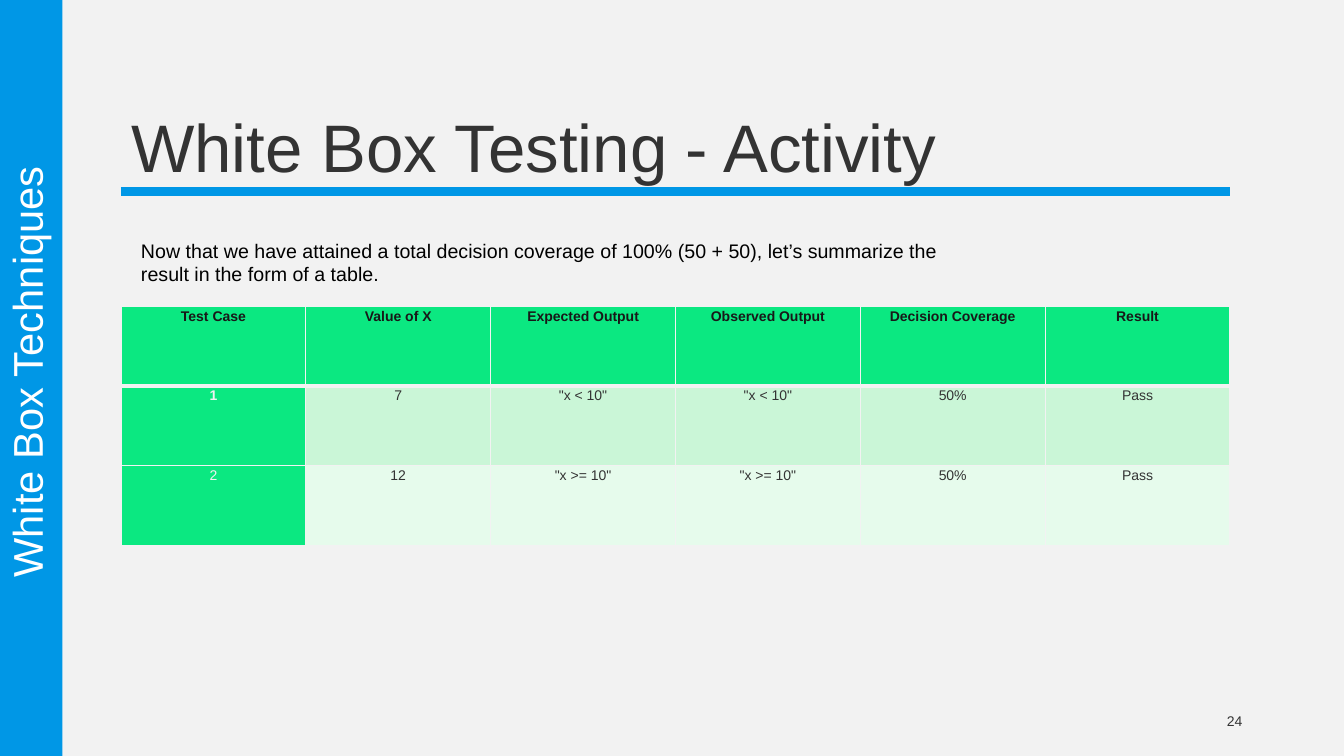
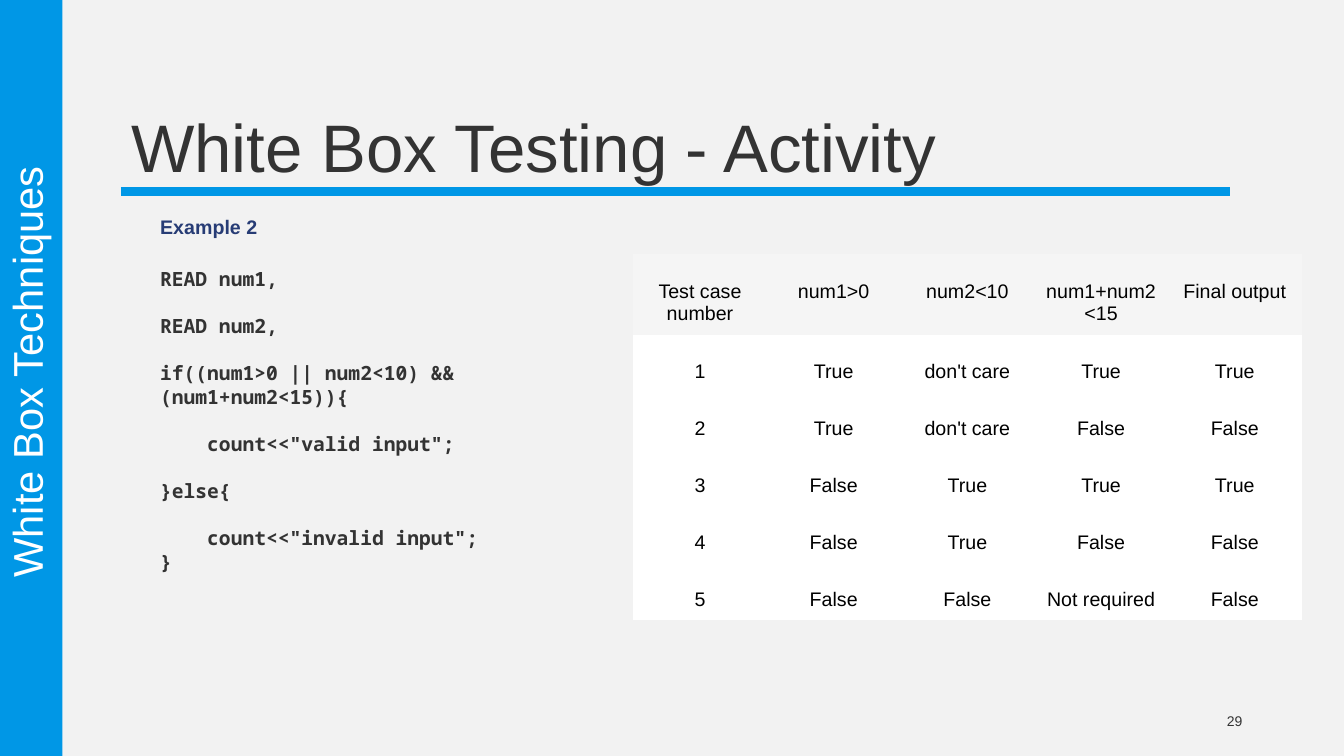
from lxml import etree
from pptx import Presentation
from pptx.dml.color import RGBColor
from pptx.enum import shapes, text
from pptx.oxml import ns
from pptx.util import Inches, Pt

BLUE, NAVY, INK, BLACK, WHITE = "0097E6", "273C75", "333333", "000000", "FFFFFF"
PAPER, GREEN, MINT, PALE_MINT = "F2F2F2", "0BE881", "CAF6D7", "E6FBEC"
HEADER_INK, HEADER_GRAY = "181818", "F5F5F5"
SANS, MONO = "Arial", "Noto Sans Mono"
NO_GRID_STYLE = "{2D5ABB26-0587-4C30-8999-92F81FD0307C}"
LEFT, ANCHOR = text.PP_ALIGN.LEFT, text.MSO_ANCHOR

SUMMARY = (
    "Now that we have attained a total decision coverage of 100% (50 + 50), "
    "let’s summarize the result in the form of a table."
)
COVERAGE_ROWS = [
    ["Test Case", "Value of X", "Expected Output", "Observed Output", "Decision Coverage", "Result"],
    ["1", "7", '"x < 10"', '"x < 10"', "50%", "Pass"],
    ["2", "12", '"x >= 10"', '"x >= 10"', "50%", "Pass"],
]
CONDITION_ROWS = [
    ["Test case number", "num1>0", "num2<10", "num1+num2<15", "Final output"],
    ["1", "True", "don't care", "True", "True"],
    ["2", "True", "don't care", "False", "False"],
    ["3", "False", "True", "True", "True"],
    ["4", "False", "True", "False", "False"],
    ["5", "False", "False", "Not required", "False"],
]
CODE_LINES = [
    "READ num1,",
    "READ num2,",
    "if((num1>0 || num2<10) && (num1+num2<15)){",
    '    count<<"valid input";',
    "}else{",
    '    count<<"invalid input";',
    "}",
]


def color(value):
    return RGBColor.from_string(value)


def inches(box):
    return [Inches(length) for length in box]


def style(paragraph, size, ink, bold=False, font=SANS, align=LEFT, spacing=None):
    paragraph.alignment = align
    paragraph.line_spacing = spacing
    for run in paragraph.runs:
        run.font.name = font
        run.font.size = Pt(size)
        run.font.bold = bold
        run.font.color.rgb = color(ink)


def add_text(slide, box, lines, size, ink, anchor=ANCHOR.TOP, gaps=None, **look):
    shape = slide.shapes.add_textbox(*inches(box))
    frame = shape.text_frame
    frame.word_wrap = True
    frame.vertical_anchor = anchor
    frame.text = "\n".join(lines)
    for index, paragraph in enumerate(frame.paragraphs):
        style(paragraph, size, ink, **look)
        if gaps:
            paragraph.space_before = Pt(gaps[index])
    return shape


def add_side_band(slide, box, label):
    left, top, width, height = box
    band = slide.shapes.add_shape(shapes.MSO_SHAPE.RECTANGLE, *inches(box))
    band.shadow.inherit = False
    band.fill.solid()
    band.fill.fore_color.rgb = color(BLUE)
    band.line.fill.background()
    length, depth = 6.74, 0.5
    label_box = (left + (width - length) / 2, top + height / 2 - 0.31, length, depth)
    caption = add_text(slide, label_box, [label], 29.7, WHITE, ANCHOR.BOTTOM,
                       align=text.PP_ALIGN.CENTER, spacing=0.85)
    caption.rotation = 270


def add_heading(slide, box, heading):
    left, top, width, height = box
    title = slide.shapes.title
    title.left, title.top, title.width, title.height = inches(box)
    frame = title.text_frame
    frame.text = heading
    frame.word_wrap = True
    frame.auto_size = text.MSO_AUTO_SIZE.NONE
    frame.vertical_anchor = ANCHOR.BOTTOM
    style(frame.paragraphs[0], 48, INK, spacing=0.85)
    bottom = top + height
    rule = slide.shapes.add_connector(
        shapes.MSO_CONNECTOR.STRAIGHT, *inches((left, bottom, left + width, bottom)))
    rule.line.color.rgb = color(BLUE)
    rule.line.width = Pt(6)
    etree.SubElement(rule._element.spPr, ns.qn("a:effectLst"))


def add_activity_slide(presentation, number):
    slide = presentation.slides.add_slide(presentation.slide_layouts[5])
    add_side_band(slide, (0, 0, 0.62, 7.5), "White Box Techniques")
    add_heading(slide, (1.2, 0.31, 11, 1.59), "White Box Testing - Activity")
    add_text(slide, (9.42, 6.95, 3, 0.4), [str(number)], 10, INK, ANCHOR.MIDDLE,
             align=text.PP_ALIGN.RIGHT)
    return slide


def add_grid(slide, box, rows, heights):
    table = slide.shapes.add_table(len(rows), len(rows[0]), *inches(box)).table
    table.first_row = table.horz_banding = False
    table._tbl.tblPr.find(ns.qn("a:tableStyleId")).text = NO_GRID_STYLE
    for column in table.columns:
        column.width = Inches(box[2] / len(rows[0]))
    for row, height in zip(table.rows, heights):
        row.height = Inches(height)
    return table


def fill_cell(cell, words, fill, size, ink, margins, **look):
    cell.margin_left, cell.margin_top, cell.margin_right, cell.margin_bottom = inches(margins)
    cell.text_frame.text = words
    style(cell.text_frame.paragraphs[0], size, ink, align=text.PP_ALIGN.CENTER, **look)
    cell.fill.solid()
    cell.fill.fore_color.rgb = color(fill)


def add_borders(cell, widths):
    properties = cell._tc.get_or_add_tcPr()
    for side, width in zip("LRTB", widths):
        line = etree.SubElement(properties, ns.qn(f"a:ln{side}"), w=str(Pt(width)))
        solid = etree.SubElement(line, ns.qn("a:solidFill"))
        etree.SubElement(solid, ns.qn("a:srgbClr"), val=PAPER)


def add_coverage_table(slide, box):
    table = add_grid(slide, box, COVERAGE_ROWS, [box[3] / 3] * 3)
    for r, row in enumerate(COVERAGE_ROWS):
        for c, words in enumerate(row):
            cell = table.cell(r, c)
            add_borders(cell, (1, 1, 3 if r == 1 else 1, 3 if r == 0 else 1))
            fill = GREEN if r == 0 or c == 0 else (MINT, PALE_MINT)[r - 1]
            ink = HEADER_INK if r == 0 else PAPER if c == 0 else INK
            bold = r == 0 or (r, c) == (1, 0)
            fill_cell(cell, words, fill, 10, ink, [0.01] * 4, bold=bold, spacing=1.07)


def add_condition_table(slide, box):
    header = 0.8
    body_rows = len(CONDITION_ROWS) - 1
    heights = [header] + [(box[3] - header) / body_rows] * body_rows
    table = add_grid(slide, box, CONDITION_ROWS, heights)
    for r, row in enumerate(CONDITION_ROWS):
        for c, words in enumerate(row):
            fill = WHITE if r else HEADER_GRAY
            fill_cell(table.cell(r, c), words, fill, 14, BLACK, (0.1, 0.26, 0.1, 0.05))


def add_code_example(slide, box):
    left, top, width, height = box
    add_text(slide, (left, top, width, 0.34), ["Example 2"], 14, NAVY, bold=True)
    gaps = [0] + [16.8] * (len(CODE_LINES) - 2) + [0]
    add_text(slide, (left, top + 0.52, width, height - 0.52), CODE_LINES, 14, INK,
             gaps=gaps, bold=True, font=MONO)


def main():
    presentation = Presentation()
    presentation.slide_width = Inches(13.33)
    presentation.slide_height = Inches(7.5)
    background = presentation.slide_master.background.fill
    background.solid()
    background.fore_color.rgb = color(PAPER)

    coverage = add_activity_slide(presentation, 24)
    add_text(coverage, (1.3, 2.32, 8.11, 0.57), [SUMMARY], 14, BLACK)
    add_coverage_table(coverage, (1.2, 3.04, 11, 2.37))

    conditions = add_activity_slide(presentation, 29)
    add_code_example(conditions, (1.49, 2.08, 4.79, 3.45))
    add_condition_table(conditions, (6.28, 2.52, 6.63, 3.63))

    presentation.save("out.pptx")


if __name__ == "__main__":
    main()
